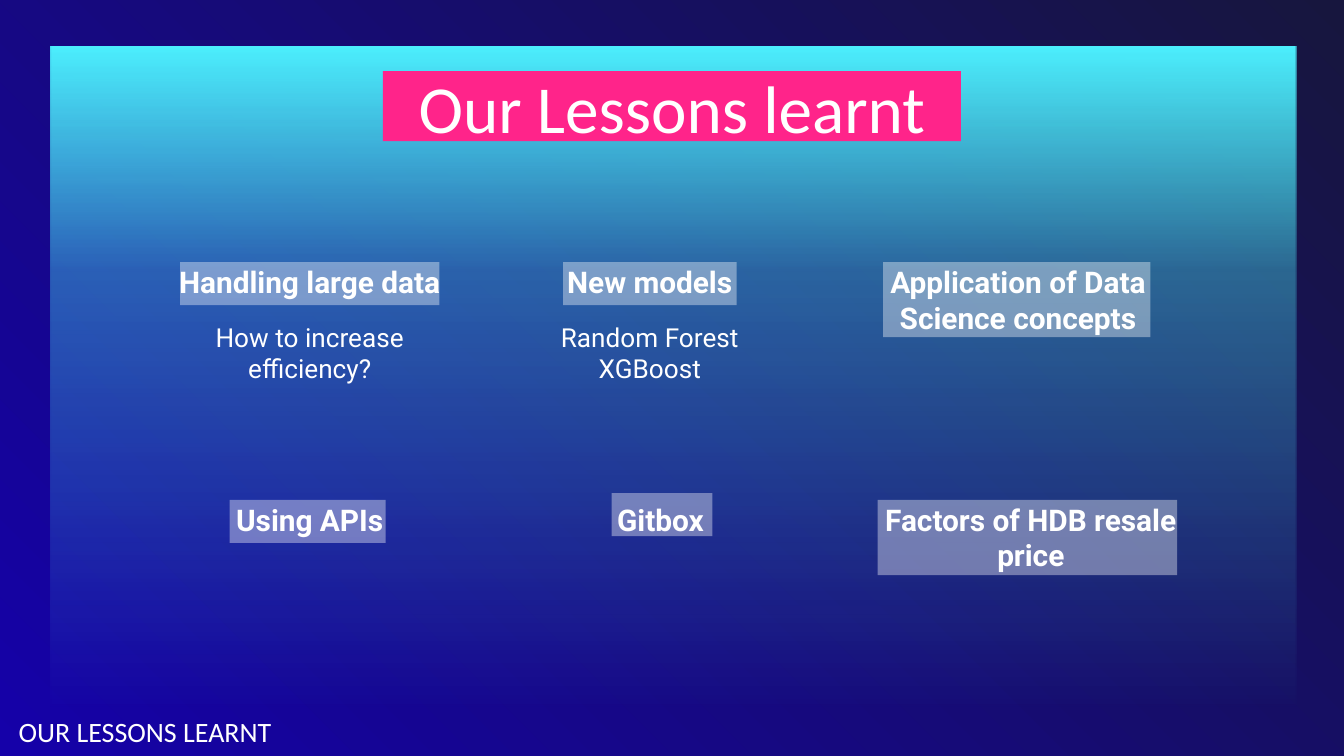
import pptx
import pptx.dml.color
import pptx.enum.shapes
import pptx.enum.text
import pptx.oxml
import pptx.oxml.ns
import pptx.util
from pptx.util import Inches

COLORS = {
    "blue": "1501A9",
    "navy": "17163E",
    "cyan": "4CEEFD",
    "pink": "FF248A",
    "white": "FFFFFF",
}
ALIGN = pptx.enum.text.PP_ALIGN
ANCHOR = pptx.enum.text.MSO_ANCHOR
COLUMNS = (1.04, 3.57, 6.31)
HEADING_ROWS = (1.86, 3.63)
CELL_WIDTH = 2.53

# Heading, (left, top, width), and its highlight (left, top, width, height)
LESSONS = [
    ("Handling large data", (COLUMNS[0], HEADING_ROWS[0], CELL_WIDTH), (1.34, 1.95, 1.93, 0.32)),
    ("New models", (COLUMNS[1], HEADING_ROWS[0], CELL_WIDTH), (4.19, 1.95, 1.29, 0.32)),
    ("Application of Data Science concepts", (COLUMNS[2], HEADING_ROWS[0], CELL_WIDTH),
     (6.57, 1.95, 1.99, 0.56)),
    ("Using APIs", (COLUMNS[0], HEADING_ROWS[1], CELL_WIDTH), (1.71, 3.72, 1.16, 0.32)),
    ("Gitbox", (3.65, HEADING_ROWS[1], CELL_WIDTH), (4.55, 3.67, 0.75, 0.32)),
    ("Factors of HDB resale price", (COLUMNS[2], HEADING_ROWS[1], 2.72),
     (6.53, 3.72, 2.23, 0.56)),
]
# Lines, left, height
DETAILS = [
    (["How to increase efficiency?"], COLUMNS[0], 0.52),
    (["Random Forest", "XGBoost"], COLUMNS[1], 0.76),
]


def rgb(name):
    return pptx.dml.color.RGBColor.from_string(COLORS[name])


def set_opacity(color_element, percent):
    alpha = pptx.oxml.parse_xml(
        f'<a:alpha {pptx.oxml.ns.nsdecls("a")} val="{percent * 1000}"/>')
    color_element.append(alpha)


def set_gradient(fill, element, stops, angle):
    """Fill with (position, color, opacity) stops; angle runs counter-clockwise."""
    fill.gradient()
    fill.gradient_angle = angle
    stop_list = next(element.iter(pptx.oxml.ns.qn("a:gsLst")))
    for default_stop in list(stop_list):
        stop_list.remove(default_stop)
    for position, color, opacity in stops:
        stop = pptx.oxml.parse_xml(
            f'<a:gs {pptx.oxml.ns.nsdecls("a")} pos="{position * 1000}">'
            f'<a:srgbClr val="{COLORS[color]}"/></a:gs>')
        if opacity < 100:
            set_opacity(stop[0], opacity)
        stop_list.append(stop)


def add_rectangle(slide, left, top, width, height, color=None, opacity=100):
    rectangle = slide.shapes.add_shape(
        pptx.enum.shapes.MSO_SHAPE.RECTANGLE,
        Inches(left), Inches(top), Inches(width), Inches(height))
    rectangle.shadow.inherit = False
    rectangle.line.fill.background()
    if color:
        rectangle.fill.solid()
        rectangle.fill.fore_color.rgb = rgb(color)
    if opacity < 100:
        set_opacity(next(rectangle.element.spPr.iter(pptx.oxml.ns.qn("a:srgbClr"))), opacity)
    return rectangle


def add_text(slide, lines, left, top, width, height, *, size, font="Roboto",
             bold=False, align=ALIGN.CENTER, anchor=ANCHOR.TOP, background=None):
    box = slide.shapes.add_textbox(Inches(left), Inches(top), Inches(width), Inches(height))
    if background:
        box.fill.solid()
        box.fill.fore_color.rgb = rgb(background)
    frame = box.text_frame
    frame.word_wrap = True
    frame.vertical_anchor = anchor
    frame.margin_left = frame.margin_right = Inches(0.1)
    frame.margin_top = frame.margin_bottom = Inches(0.1)
    for index, line in enumerate(lines):
        paragraph = frame.add_paragraph() if index else frame.paragraphs[0]
        paragraph.alignment = align
        run = paragraph.add_run()
        run.text = line
        run.font.name = font
        run.font.size = pptx.util.Pt(size)
        run.font.bold = bold
        run.font.color.rgb = rgb("white")


def add_backdrop(slide):
    set_gradient(slide.background.fill, slide.element,
                 [(0, "blue", 100), (100, "navy", 100)], 45)
    panel = add_rectangle(slide, 0.38, 0.35, 9.27, 4.91)
    set_gradient(panel.fill, panel.element,
                 [(0, "cyan", 100), (34, "cyan", 38), (100, "cyan", 0)], 270)


def main():
    presentation = pptx.Presentation()
    presentation.slide_width = Inches(10)
    presentation.slide_height = Inches(10 * 9 / 16)
    slide = presentation.slides.add_slide(presentation.slide_layouts[6])

    add_backdrop(slide)
    for lines, left, height in DETAILS:
        add_text(slide, lines, left, 2.29, CELL_WIDTH, height, size=14)
    add_text(slide, ["Our Lessons learnt"], 2.85, 0.53, 4.3, 0.52, size=36,
             font="Calibri", anchor=ANCHOR.MIDDLE, background="pink")
    for heading, (left, top, width), _ in LESSONS:
        add_text(slide, [heading], left, top, width, 0.41, size=16, bold=True)
    add_text(slide, ["OUR LESSONS LEARNT"], 0.04, 5.22, 3.65, 0.45, size=15,
             font="Calibri", align=ALIGN.LEFT)
    for _, _, highlight in LESSONS:
        add_rectangle(slide, *highlight, color="white", opacity=38)

    presentation.save("out.pptx")


if __name__ == "__main__":
    main()
